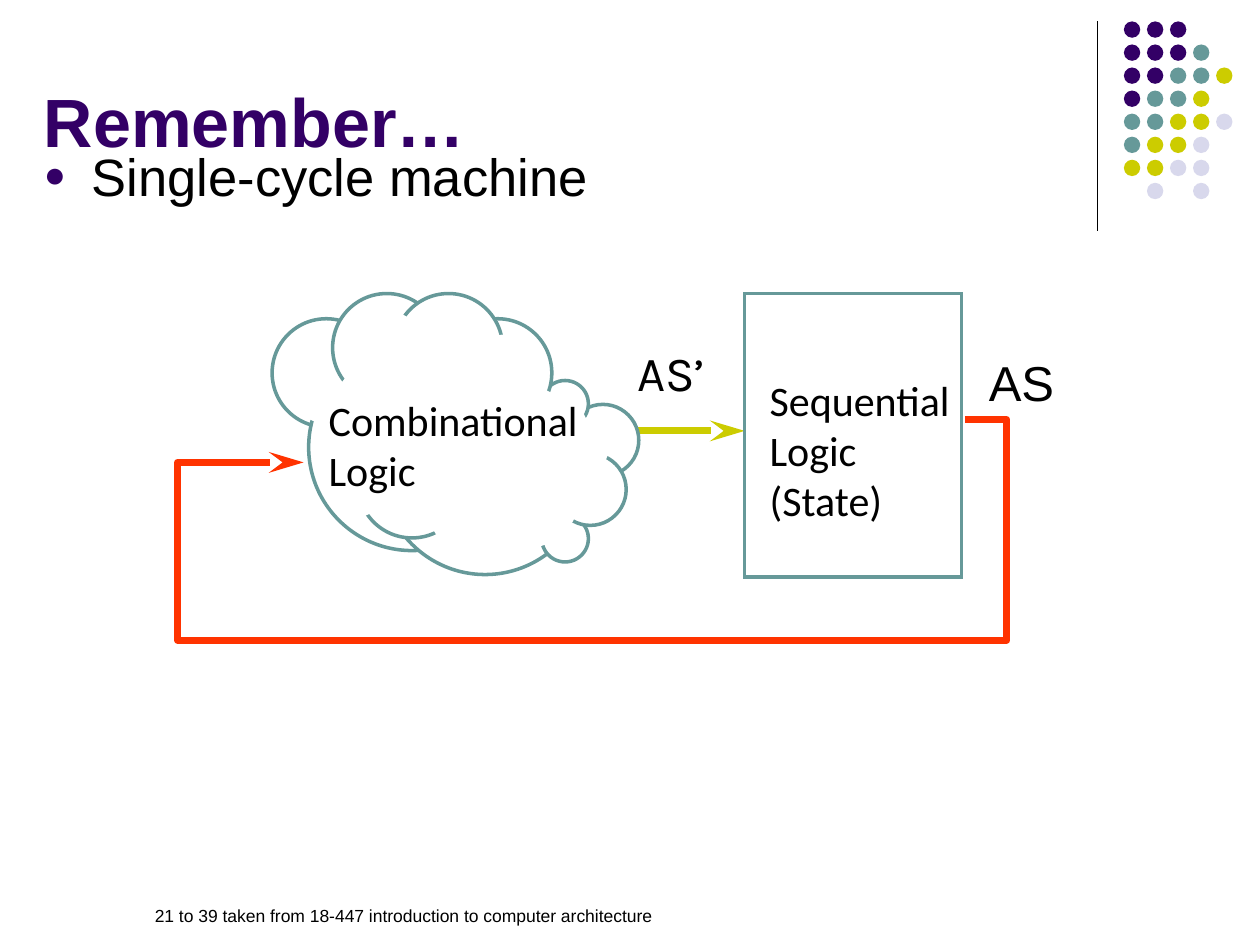
"""Build the slide on a single-cycle machine: logic cloud, state box and feedback."""
from lxml import etree
from pptx import Presentation, util as u
from pptx.dml.color import RGBColor
from pptx.enum import shapes, text
from pptx.oxml import ns

PURPLE = RGBColor(0x33, 0x00, 0x66)
TEAL = RGBColor(0x66, 0x99, 0x99)
LIME = RGBColor(0xCC, 0xCC, 0x00)
LILAC = RGBColor(0xD8, 0xD8, 0xEC)
RED = RGBColor(0xFF, 0x33, 0x00)
BLACK = RGBColor(0, 0, 0)
WHITE = RGBColor(0xFF, 0xFF, 0xFF)

prs = Presentation()
prs.slide_width, prs.slide_height = u.Inches(10), u.Inches(7.5)
s = prs.slides.add_slide(prs.slide_layouts[6])
G = prs.slide_width // 1000


def style(sp, fill=None, line=None, width=2):
    sp.shadow.inherit = False
    if fill is None:
        sp.fill.background()
    else:
        sp.fill.solid()
        sp.fill.fore_color.rgb = fill
    if line is None:
        sp.line.fill.background()
    else:
        sp.line.color.rgb = line
        sp.line.width = u.Pt(width)


def label(box, lines, size, name, color=BLACK, bold=False, wrap=False):
    tf = s.shapes.add_textbox(*(n * G for n in box)).text_frame
    tf.word_wrap = wrap
    tf.text = "\n".join(lines)
    for p in tf.paragraphs:
        for font in (p.font, p.runs[0].font):
            font.size, font.name, font.bold = u.Pt(size), name, bold
            font.color.rgb = color
    return tf


rule = s.shapes.add_connector(shapes.MSO_CONNECTOR.STRAIGHT, 871 * G, 17 * G, 871 * G, 183 * G)
rule.line.color.rgb = BLACK
rule.line.width = u.Pt(0.75)

dot_colors = {"p": PURPLE, "t": TEAL, "l": LIME, "s": LILAC}
dot_rows = ["ppp", "pppt", "ppttl", "pttl", "ttlls", "tlls", "llss", " s s"]
dots = s.shapes.add_group_shape()
for row, keys in enumerate(dot_rows):
    for col, key in enumerate(keys):
        if key in dot_colors:
            x, y = 892 + 18.3 * col, 17 + 18.3 * row
            sp = dots.shapes.add_shape(
                shapes.MSO_SHAPE.OVAL, int(x * G), int(y * G), 13 * G, 13 * G)
            style(sp, dot_colors[key])

title = label((25, 17, 975, 117), ["Remember…"], 39, "Arial", PURPLE, True, True)
title.vertical_anchor = text.MSO_ANCHOR.BOTTOM
title.margin_bottom = 6 * G

body = label((25, 109, 942, 568), ["Single-cycle machine"], 30, "Arial", wrap=True)
p = body.paragraphs[0]
p.space_before = u.Pt(7.5)
pPr = p._p.get_or_add_pPr()
pPr.set("marL", str(38 * G))
pPr.set("indent", str(-38 * G))
buClr = etree.Element(ns.qn("a:buClr"))
etree.SubElement(buClr, ns.qn("a:srgbClr"), val=str(PURPLE))
bullet = [
    buClr,
    etree.Element(ns.qn("a:buSzPct"), val="70000"),
    etree.Element(ns.qn("a:buFont"), typeface="Arial"),
    etree.Element(ns.qn("a:buChar"), char="●"),
]
for i, el in enumerate(bullet, 1):
    pPr.insert(i, el)

signal = s.shapes.add_connector(shapes.MSO_CONNECTOR.STRAIGHT, 499 * G, 342 * G, 591 * G, 342 * G)
signal.line.color.rgb = LIME
signal.line.width = u.Pt(4)

cloud = s.shapes.add_group_shape()
neck = [(268, 292), (239, 330), (253, 336), (273, 296)]
core = [(317, 248), (356, 271), (404, 265), (434, 310), (442, 314), (463, 328),
        (469, 340), (483, 360), (480, 367), (447, 428), (424, 435), (349, 429),
        (343, 419), (293, 408), (284, 412), (265, 311)]
puffs = [(216, 253, 86), (245, 273, 164), neck, (303, 292, 164), (450, 321, 57),
         (430, 409, 37), (430, 302, 37), (440, 360, 57), (264, 233, 86),
         (352, 253, 86), (313, 233, 86), (284, 341, 86), core]
for part in puffs:
    if isinstance(part, list):
        fb = cloud.shapes.build_freeform(*part[0], scale=G)
        fb.add_line_segments(part[1:], close=True)
        style(fb.convert_to_shape(), WHITE)
    else:
        x, y, d = (n * G for n in part)
        style(cloud.shapes.add_shape(shapes.MSO_SHAPE.OVAL, x, y, d, d), WHITE, TEAL)

label((775, 275, 72, 57), ["AS"], 28, "Arial")

fb = s.shapes.build_freeform(766, 333, scale=G)
fb.add_line_segments([(799, 333), (799, 508), (141, 508), (141, 367), (241, 367)], close=False)
feedback = fb.convert_to_shape()
style(feedback, line=RED, width=4)

for sp in (signal, feedback):
    ln = sp._element.spPr.find(ns.qn("a:ln"))
    etree.SubElement(ln, ns.qn("a:round"))
    etree.SubElement(ln, ns.qn("a:tailEnd"), type="stealth", w="med", len="lg")
for sp in (rule, signal):
    etree.SubElement(sp._element.spPr, ns.qn("a:effectLst"))

state = s.shapes.add_shape(shapes.MSO_SHAPE.RECTANGLE, 591 * G, 233 * G, 172 * G, 225 * G)
style(state, line=TEAL)
etree.SubElement(state._element.spPr.find(ns.qn("a:ln")), ns.qn("a:miter"), lim="800000")

label((601, 292, 163, 130), ["Sequential", "Logic", "(State)"], 24, "Calibri")
label((251, 308, 218, 90), ["Combinational", "Logic"], 24, "Calibri")
label((496, 267, 83, 57), ["AS’"], 28, "Karla")
label((113, 713, 775, 27), ["21 to 39 taken from 18-447 introduction to computer architecture"],
      10, "Arial", wrap=True)

prs.save("out.pptx")
